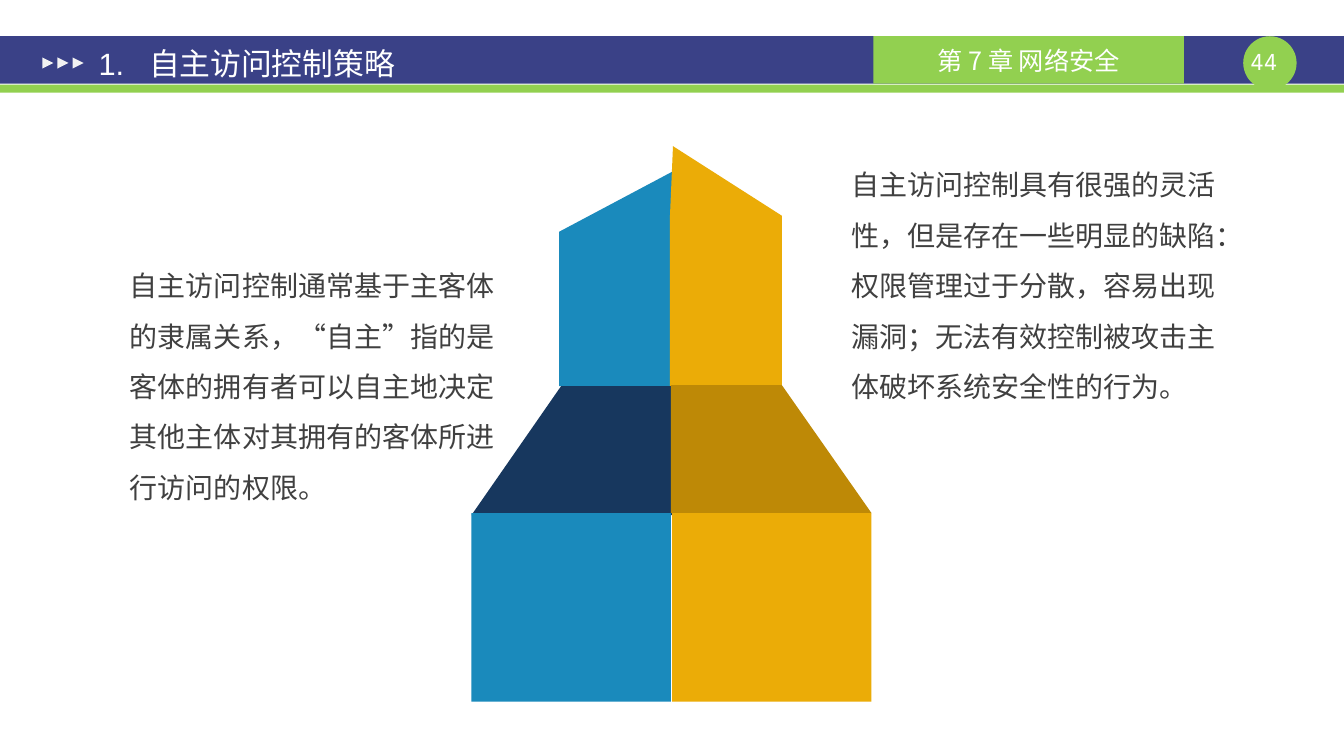
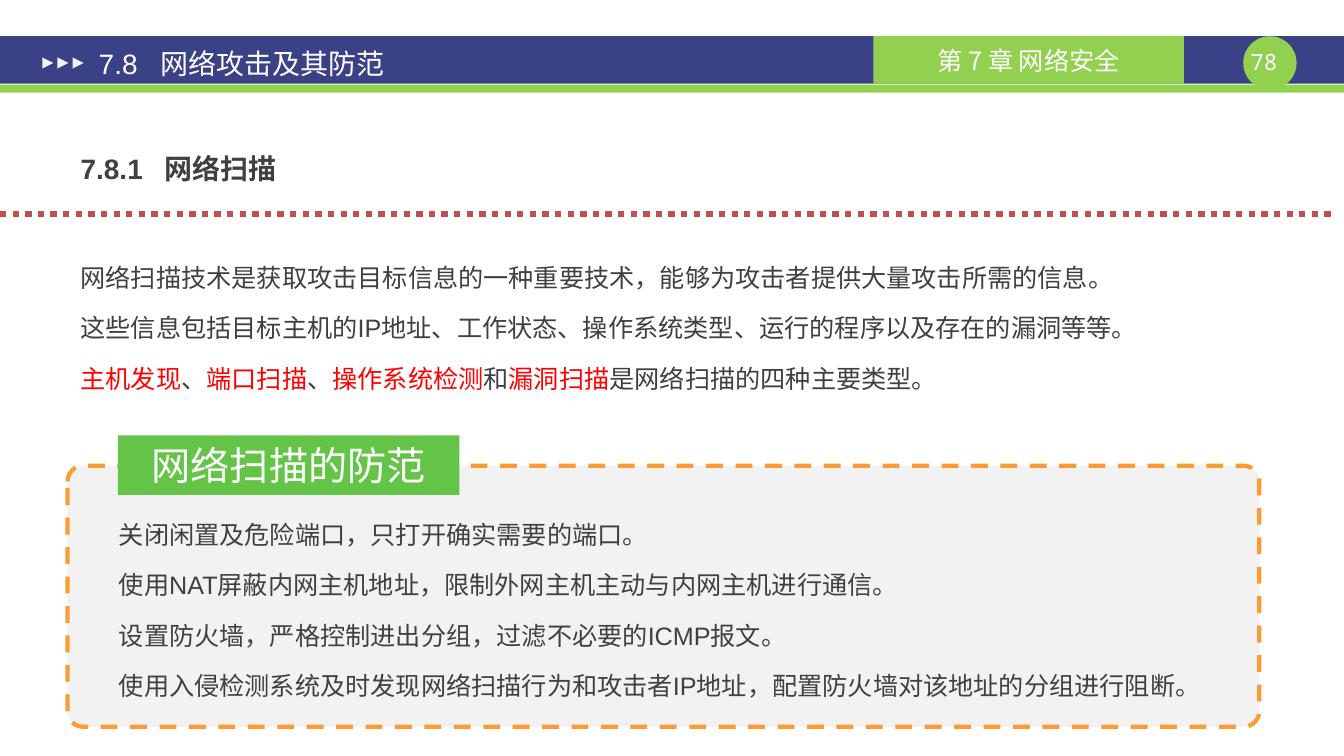
from dataclasses import dataclass

from lxml import etree
from pptx import Presentation
from pptx import util as u
from pptx.dml.color import RGBColor
from pptx.enum import dml, shapes, text
from pptx.oxml.ns import qn

PX = 9144  # EMU per px, 100 px to the inch
SHAPE = shapes.MSO_SHAPE
MIDDLE = text.MSO_ANCHOR.MIDDLE
TOP = text.MSO_ANCHOR.TOP
LEFT = text.PP_ALIGN.LEFT
CENTER = text.PP_ALIGN.CENTER


@dataclass(frozen=True)
class Theme:
    navy: str = "3A4187"
    lime: str = "92D050"
    white: str = "FFFFFF"
    pale: str = "F2F2F2"
    ink: str = "404040"
    red: str = "FF0000"
    rule: str = "C0504D"
    orange: str = "FF9933"
    green: str = "64C448"
    blue: str = "1A8ABC"
    blue_dark: str = "17375E"
    gold: str = "EBAC07"
    gold_dark: str = "BE8906"
    latin: str = "Arial"
    cjk: str = "Noto Sans CJK SC"
    mono: str = "Noto Sans Mono"
    label: int = 28
    title: int = 22
    lead: int = 20
    body: int = 18
    page: int = 16


T = Theme()


class Deck:
    """Holds the presentation and the slide being drawn; lengths are px."""

    def __init__(self, width, height):
        self.prs = Presentation()
        self.prs.slide_width, self.prs.slide_height = width * PX, height * PX
        self.width = width
        self.s = None

    def slide(self, title, number, title_size, tab):
        self.s = self.prs.slides.add_slide(self.prs.slide_layouts[6])
        self.shape(SHAPE.RECTANGLE, 0, 36, self.width, 47, T.navy)
        self.shape(SHAPE.RECTANGLE, 0, 84, self.width, 8, T.lime)
        self.shape(SHAPE.OVAL, 1234, 36, 53, 53, T.lime)
        self.text(1228, 48, 53, 27, number, T.page, T.white, latin=T.mono,
                  align=CENTER, inset=(0, 0))
        chapter = self.shape(SHAPE.RECTANGLE, 867, 36, 308, 47, T.lime)
        self.set_text(chapter, "第 7 章 网络安全", T.body, T.white, latin=T.cjk,
                      align=CENTER, anchor=MIDDLE)
        for i in range(3):
            arrow = self.shape(SHAPE.ISOSCELES_TRIANGLE, 42 + 15 * i, 57, 11, 11, T.pale)
            arrow.rotation = 90
        self.text(85, 39, 583, 47, title, title_size, T.white, anchor=MIDDLE, tab=tab)

    def paint(self, sp, fill):
        sp.shadow.inherit = False
        sp.fill.solid()
        sp.fill.fore_color.rgb = RGBColor.from_string(fill)
        sp.line.fill.background()
        return sp

    def shape(self, kind, x, y, w, h, fill):
        sp = self.s.shapes.add_shape(kind, x * PX, y * PX, w * PX, h * PX)
        return self.paint(sp, fill)

    def polygon(self, points, fill):
        builder = self.s.shapes.build_freeform(*points[0], scale=PX)
        builder.add_line_segments(points[1:], close=True)
        return self.paint(builder.convert_to_shape(), fill)

    def stroke(self, line, color, width, dash):
        line.color.rgb = RGBColor.from_string(color)
        line.width = u.Pt(width)
        line.dash_style = dash

    def rule(self, x1, x2, y, color, width, dash):
        c = self.s.shapes.add_connector(shapes.MSO_CONNECTOR.STRAIGHT,
                                        x1 * PX, y * PX, x2 * PX, y * PX)
        self.stroke(c.line, color, width, dash)
        etree.SubElement(c._element.spPr, qn("a:effectLst"))

    def text(self, x, y, w, h, content, size, color, **style):
        sp = self.s.shapes.add_textbox(x * PX, y * PX, w * PX, h * PX)
        self.set_text(sp, content, size, color, **style)
        return sp

    def set_text(self, sp, content, size, color, latin=T.latin, align=LEFT, anchor=TOP,
                 inset=(13, 7), spaced=False, tab=None):
        """Fill a shape; content is a string or a list of paragraphs."""
        tf = sp.text_frame
        tf.word_wrap = True
        tf.vertical_anchor = anchor
        tf.margin_left = tf.margin_right = inset[0] * PX
        tf.margin_top = tf.margin_bottom = inset[1] * PX
        paragraphs = [content] if isinstance(content, str) else content
        for i, runs in enumerate(paragraphs):
            p = tf.add_paragraph() if i else tf.paragraphs[0]
            p.alignment = align
            if spaced:
                p.line_spacing = u.Pt(1.8 * size)
                p.space_before = u.Pt(0.2 * size if i else 0)
            if tab:
                tabs = etree.SubElement(p._p.get_or_add_pPr(), qn("a:tabLst"))
                etree.SubElement(tabs, qn("a:tab"), pos=str(tab * PX), algn="l")
            self.fill_paragraph(p, runs, size, color, latin)

    def fill_paragraph(self, p, runs, size, color, latin):
        """Runs are one string, or (text, colour) pairs."""
        p.font.size, p.font.name = u.Pt(size), latin
        mixed = not isinstance(runs, str)
        if not mixed:
            p.font.color.rgb = RGBColor.from_string(color)
        etree.SubElement(p._p.pPr.find(qn("a:defRPr")), qn("a:ea"), typeface=T.cjk)
        for content, run_color in runs if mixed else [(runs, color)]:
            r = p.add_run()
            r.text = content
            if mixed:
                r.font.color.rgb = RGBColor.from_string(run_color)


def access_control(deck):
    deck.slide("1.\t自主访问控制策略", "44", T.title, 50)
    deck.text(116, 243, 394, 340,
              "自主访问控制通常基于主客体的隶属关系，“自主”指的是客体的拥有者可以自主地"
              "决定其他主体对其拥有的客体所进行访问的权限。", T.lead, T.ink, spaced=True)
    deck.text(832, 143, 397, 360,
              "自主访问控制具有很强的灵活性，但是存在一些明显的缺陷：权限管理过于分散，"
              "容易出现漏洞；无法有效控制被攻击主体破坏系统安全性的行为。",
              T.lead, T.ink, spaced=True)
    tower = [
        ([(666, 383), (555, 383), (555, 230), (668, 170), (666, 230)], T.blue),
        ([(665, 384), (776, 384), (776, 214), (668, 145), (665, 214)], T.gold),
        ([(468, 511), (557, 383), (667, 383), (667, 511)], T.blue_dark),
        ([(865, 509), (776, 382), (666, 382), (666, 509)], T.gold_dark),
    ]
    for points, fill in tower:
        deck.polygon(points, fill)
    for x, fill in ((468, T.blue), (667, T.gold)):
        deck.shape(SHAPE.RECTANGLE, x, 509, 198, 187, fill)


def network_scanning(deck):
    deck.slide("7.8\t网络攻击及其防范", "78", T.lead, 61)
    heading = deck.text(67, 127, 1215, 60, "7.8.1\t网络扫描", T.lead, T.ink,
                        spaced=True, tab=83)
    heading.text_frame.paragraphs[0].font.bold = True
    deck.text(67, 238, 1215, 180, [
        "网络扫描技术是获取攻击目标信息的一种重要技术，能够为攻击者提供大量攻击所需的信息。",
        "这些信息包括目标主机的IP地址、工作状态、操作系统类型、运行的程序以及存在的漏洞等等。",
        [("主机发现", T.red), ("、", T.ink), ("端口扫描", T.red), ("、", T.ink),
         ("操作系统检测", T.red), ("和", T.ink), ("漏洞扫描", T.red),
         ("是网络扫描的四种主要类型。", T.ink)],
    ], T.body, T.ink, spaced=True)
    deck.rule(0, 1322, 212, T.rule, 4.5, dml.MSO_LINE.ROUND_DOT)

    panel = deck.shape(SHAPE.ROUNDED_RECTANGLE, 67, 462, 1183, 259, T.pale)
    panel.adjustments[0] = 0.06
    deck.stroke(panel.line, T.orange, 3, dml.MSO_LINE.DASH)
    label = deck.shape(SHAPE.RECTANGLE, 117, 432, 339, 59, T.green)
    deck.set_text(label, "网络扫描的防范", T.label, T.white, align=CENTER, anchor=MIDDLE)
    deck.text(105, 493, 1126, 189, [
        "关闭闲置及危险端口，只打开确实需要的端口。",
        "使用NAT屏蔽内网主机地址，限制外网主机主动与内网主机进行通信。",
        "设置防火墙，严格控制进出分组，过滤不必要的ICMP报文。",
        "使用入侵检测系统及时发现网络扫描行为和攻击者IP地址，配置防火墙对该地址的分组进行阻断。",
    ], T.body, T.ink, spaced=True)


def main():
    deck = Deck(1334, 750)
    access_control(deck)
    network_scanning(deck)
    deck.prs.save("out.pptx")


if __name__ == "__main__":
    main()
